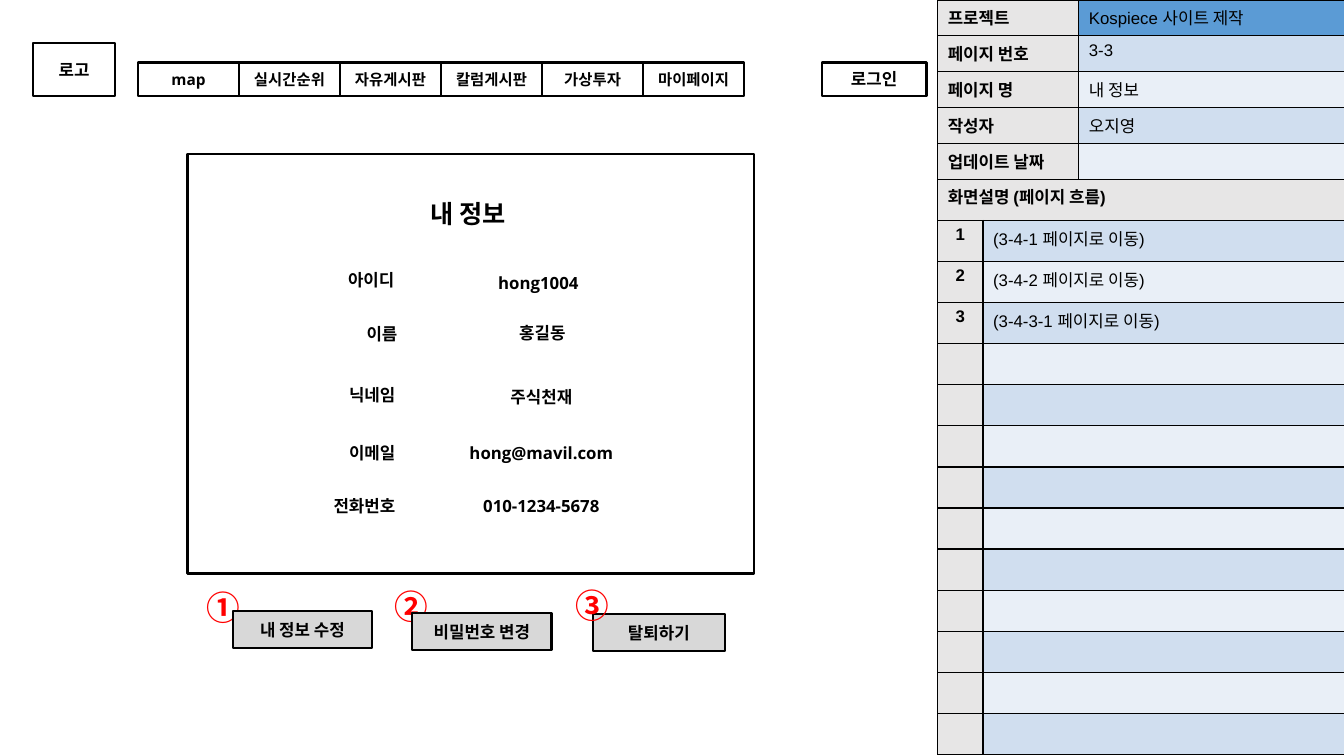
from dataclasses import dataclass

from lxml.etree import SubElement
from pptx import Presentation
from pptx.dml.color import RGBColor
from pptx.enum.shapes import MSO_SHAPE as Shape
from pptx.enum.text import MSO_ANCHOR as Anchor, PP_ALIGN as Align
from pptx.oxml.ns import qn
from pptx.util import Inches, Pt


@dataclass(frozen=True)
class Theme:
    ink: str = "000000"
    badge: str = "FF0000"
    button: str = "D8D8D8"
    label: str = "E7E6E6"
    title_cell: str = "5B9BD5"
    bands: tuple = ("D0DEEF", "E9EFF7")
    wire_font: str = "Open Sans"
    table_font: str = "Arial"
    korean_font: str = "Noto Sans CJK KR"
    heading: int = 18
    body: int = 12
    menu: int = 11
    number: int = 24
    outline: float = 1.5
    border: float = 1


THEME = Theme()


def color(value):
    return RGBColor.from_string(value)


def write(frame, text, size=THEME.body, align=Align.CENTER, font=THEME.wire_font,
          ink=THEME.ink, bold=True):
    paragraph = frame.paragraphs[0]
    paragraph.text = text
    paragraph.alignment = align
    paragraph.font.size = Pt(size)
    paragraph.font.bold = bold
    paragraph.font.name = font
    paragraph.font.color.rgb = color(ink)
    properties = paragraph._p.pPr.find(qn("a:defRPr"))
    east_asian = properties.makeelement(qn("a:ea"), {"typeface": THEME.korean_font})
    properties.find(qn("a:latin")).addnext(east_asian)


def set_margins(frame, vertical=0.1):
    frame.margin_left = frame.margin_right = Inches(0.1)
    frame.margin_top = frame.margin_bottom = Inches(vertical)


def add_box(slide, left, top, width, height, text=None, size=THEME.body, fill=None):
    shape = slide.shapes.add_shape(
        Shape.RECTANGLE, Inches(left), Inches(top), Inches(width), Inches(height))
    shape.shadow.inherit = False
    if fill:
        shape.fill.solid()
        shape.fill.fore_color.rgb = color(fill)
    else:
        shape.fill.background()
    shape.line.color.rgb = color(THEME.ink)
    shape.line.width = Pt(THEME.outline)
    if text:
        frame = shape.text_frame
        set_margins(frame)
        frame.vertical_anchor = Anchor.MIDDLE
        write(frame, text, size)


def add_text(slide, left, top, width, text, size=THEME.body, align=Align.CENTER):
    box = slide.shapes.add_textbox(
        Inches(left), Inches(top), Inches(width), Inches(0.37))
    frame = box.text_frame
    frame.word_wrap = True
    set_margins(frame)
    frame.vertical_anchor = Anchor.MIDDLE
    write(frame, text, size, align)


def add_badge(slide, left, top, text):
    box = slide.shapes.add_textbox(
        Inches(left), Inches(top), Inches(0.6), Inches(0.5))
    frame = box.text_frame
    frame.word_wrap = True
    set_margins(frame, 0.05)
    write(frame, text, THEME.number, Align.LEFT, THEME.korean_font, THEME.badge)


def style_cell(cell, text, fill, bold, align=Align.LEFT):
    cell.fill.solid()
    cell.fill.fore_color.rgb = color(fill)
    write(cell.text_frame, text, align=align, font=THEME.table_font, bold=bold)
    properties = cell._tc.get_or_add_tcPr()
    for index, side in enumerate(("lnL", "lnR", "lnT", "lnB")):
        line = properties.makeelement(
            qn(f"a:{side}"), {"w": str(Pt(THEME.border))})
        solid = SubElement(line, qn("a:solidFill"))
        SubElement(solid, qn("a:srgbClr"), {"val": THEME.ink})
        properties.insert(index, line)


def add_grid(slide, left, top, height, widths, row_count):
    frame = slide.shapes.add_table(
        row_count, len(widths), Inches(left), Inches(top),
        Inches(sum(widths)), Inches(height))
    table = frame.table
    table.first_row = table.horz_banding = False
    for column, width in zip(table.columns, widths):
        column.width = Inches(width)
    for row in table.rows:
        row.height = Inches(height / row_count)
    return table


def add_project_table(slide, left, top, height):
    rows = [("프로젝트", "Kospiece 사이트 제작"), ("페이지 번호", "3-3"),
            ("페이지 명", "내 정보"), ("작성자", "오지영"), ("업데이트 날짜", "")]
    table = add_grid(slide, left, top, height, (1.4, 2.64), len(rows))
    for index, (label, value) in enumerate(rows):
        fill = THEME.bands[(index + 1) % 2] if index else THEME.title_cell
        style_cell(table.cell(index, 0), label, THEME.label, True)
        style_cell(table.cell(index, 1), value, fill, False)


def add_flow_table(slide, left, top, height):
    targets = ("3-4-1", "3-4-2", "3-4-3-1")
    row_count = 14
    table = add_grid(slide, left, top, height, (0.45, 3.59), row_count)
    table.cell(0, 0).merge(table.cell(0, 1))
    style_cell(table.cell(0, 0), "화면설명 (페이지 흐름)", THEME.label, True)
    style_cell(table.cell(0, 1), "", THEME.label, True)
    for index in range(1, row_count):
        used = index <= len(targets)
        number = str(index) if used else ""
        note = f"({targets[index - 1]} 페이지로 이동)" if used else ""
        style_cell(table.cell(index, 0), number, THEME.label, True, Align.CENTER)
        style_cell(table.cell(index, 1), note, THEME.bands[(index + 1) % 2], False)


def add_header(slide, left, top):
    add_box(slide, left, top, 0.81, 0.52, "로고")
    menu = ("map", "실시간순위", "자유게시판", "칼럼게시판", "가상투자", "마이페이지")
    for index, name in enumerate(menu):
        add_box(slide, left + 1.04 + index * 1.002, top + 0.19, 1, 0.33,
                name, THEME.menu)
    add_box(slide, left + 7.82, top + 0.19, 1.04, 0.33, "로그인")


def add_profile(slide, left, top):
    add_box(slide, left, top, 5.62, 4.16)
    add_text(slide, left + 1.88, top + 0.4, 1.81, "내 정보", THEME.heading)
    # label, its right edge and top, value, its centre and top
    fields = [("아이디", 2.15, 1.06, "hong1004", 3.48, 1.09),
              ("이름", 2.18, 1.6, "홍길동", 3.52, 1.59),
              ("닉네임", 2.16, 2.2, "주식천재", 3.51, 2.22),
              ("이메일", 2.16, 2.78, "hong@mavil.com", 3.51, 2.78),
              ("전화번호", 2.16, 3.3, "010-1234-5678", 3.51, 3.3)]
    for label, right, label_top, value, center, value_top in fields:
        add_text(slide, left + right - 1.04, top + label_top, 1.04, label,
                 align=Align.RIGHT)
        add_text(slide, left + center - 1.27, top + value_top, 2.54, value)


def add_actions(slide, left, top):
    """Place the numbered buttons; the last number lies over its button."""
    add_badge(slide, left, top + 0.02, "①")
    add_badge(slide, left + 1.86, top + 0.01, "②")
    buttons = [("내 정보 수정", 0.36, 0.31, 1.38), ("비밀번호 변경", 2.14, 0.33, 1.38),
               ("탈퇴하기", 3.93, 0.34, 1.31)]
    for name, x, y, width in buttons:
        add_box(slide, left + x, top + y, width, 0.37, name, fill=THEME.button)
    add_badge(slide, left + 3.66, top, "③")


def main():
    presentation = Presentation()
    presentation.slide_width = Inches(13.33)
    presentation.slide_height = Inches(7.5)
    slide = presentation.slides.add_slide(presentation.slide_layouts[6])
    add_project_table(slide, 9.3, 0, 1.78)
    add_flow_table(slide, 9.3, 1.78, 5.71)
    add_header(slide, 0.33, 0.43)
    add_profile(slide, 1.86, 1.53)
    add_actions(slide, 1.95, 5.75)
    presentation.save("out.pptx")


if __name__ == "__main__":
    main()
